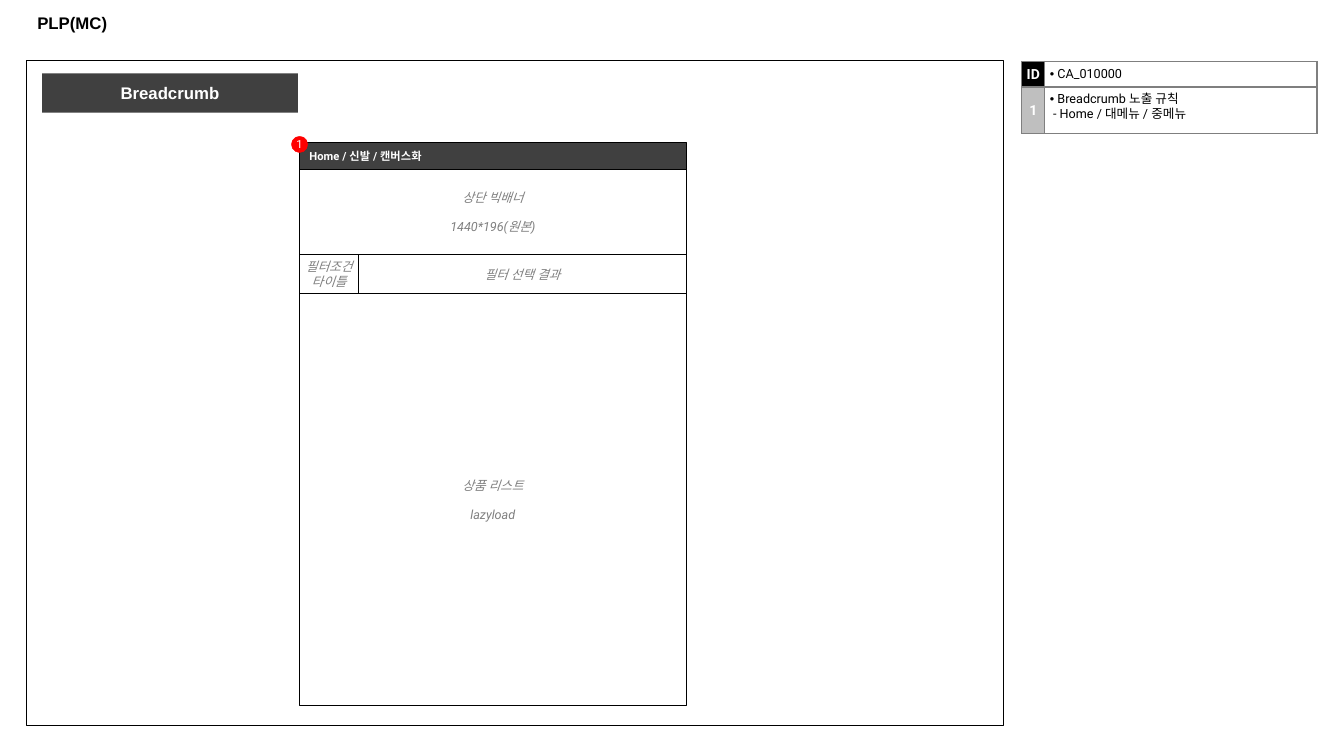
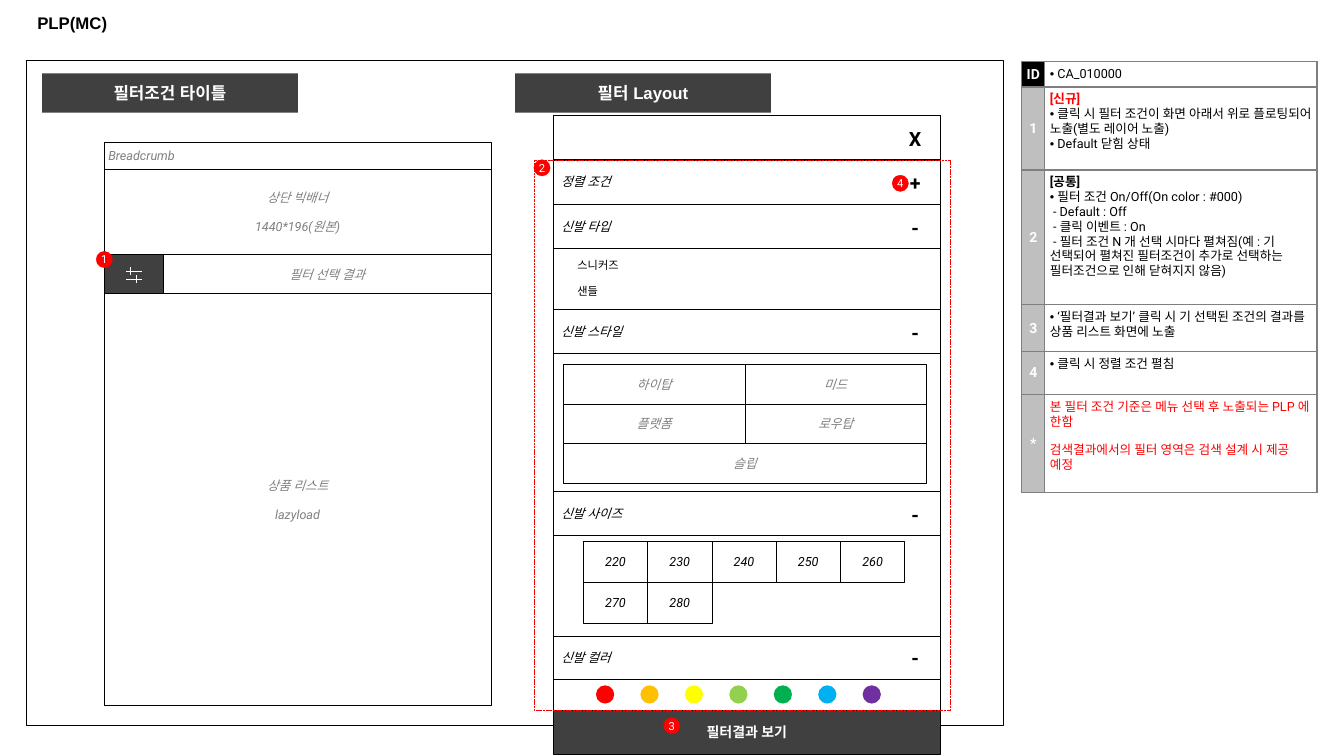
from dataclasses import dataclass, replace

from lxml import etree
from pptx import Presentation
from pptx.dml.color import RGBColor
from pptx.enum import dml, shapes, text
from pptx.oxml import ns
from pptx.util import Cm, Pt

BLACK = RGBColor(0x00, 0x00, 0x00)
WHITE = RGBColor(0xFF, 0xFF, 0xFF)
DARK = RGBColor(0x40, 0x40, 0x40)
GREY = RGBColor(0x80, 0x80, 0x80)
EDGE = RGBColor(0x7F, 0x7F, 0x7F)
PALE = RGBColor(0xBF, 0xBF, 0xBF)
RED = RGBColor(0xFF, 0x00, 0x00)
HUES = (RED, RGBColor(0xFF, 0xC0, 0x00), RGBColor(0xFF, 0xFF, 0x00),
        RGBColor(0x92, 0xD0, 0x50), RGBColor(0x00, 0xB0, 0x50),
        RGBColor(0x00, 0xB0, 0xF0), RGBColor(0x70, 0x30, 0xA0))

LEFT, MID = text.PP_ALIGN.LEFT, text.PP_ALIGN.CENTER
RECT, OVAL = shapes.MSO_SHAPE.RECTANGLE, shapes.MSO_SHAPE.OVAL
WIDE = 9.74   # width of both phone screens
ROW = 1.11    # height of a filter heading


@dataclass(frozen=True)
class Style:
    size: float
    tint: RGBColor = BLACK
    bold: bool = False
    ital: bool = False
    face: str = "Roboto"


@dataclass(frozen=True)
class Line:
    words: str
    dot: bool = False
    lead: float = 0
    gap: bool = False
    style: Style = None


TITLE = Style(12, bold=True, face="Arial")
TAG = replace(TITLE, tint=WHITE)
HINT = Style(9, GREY, ital=True)
HEAD = Style(9, ital=True)
ITEM = Style(8)
MARK = Style(14, bold=True)
CRUMB = Style(8, WHITE, bold=True)
KEY = Style(10, WHITE, bold=True)
DISC = Style(8, WHITE)
NOTE = Style(9)
WARN = Style(9, RED)


def sub(node, tag, **attrs):
    return etree.SubElement(node, ns.qn(tag), attrs)


# Text
def write(frame, lines, style, align=MID, pad=(0.1, 0.1, 0.1, 0.1),
          anchor=text.MSO_ANCHOR.MIDDLE):
    frame.word_wrap = True
    frame.vertical_anchor = anchor
    (frame.margin_left, frame.margin_top,
     frame.margin_right, frame.margin_bottom) = map(Cm, pad)
    put(frame, lines, style, align)


def put(frame, lines, style, align):
    for i, line in enumerate(lines):
        if isinstance(line, str):
            line = Line(line)
        look = line.style or style
        para = frame.paragraphs[0] if i == 0 else frame.add_paragraph()
        para.alignment = align
        prop = para._p.get_or_add_pPr()
        prop.set("marL", "0")
        prop.set("indent", str(Cm(line.lead)))
        if line.dot:
            sub(prop, "a:buFont", typeface="Arial")
            sub(prop, "a:buChar", char="•")
        if line.gap:
            para.space_before = Pt(look.size * 1.1)
        run = para.add_run()
        run.text = (" " if line.dot else "") + line.words
        font = run.font
        font.size, font.bold, font.italic = Pt(look.size), look.bold, look.ital
        font.name = look.face
        font.color.rgb = look.tint
        mark = run._r.get_or_add_rPr()
        mark.set("lang", "ko-KR")
        sub(mark, "a:ea", typeface=look.face)


def label(slide, x, y, w, h, lines, style, **kind):
    frame = slide.shapes.add_textbox(Cm(x), Cm(y), Cm(w), Cm(h)).text_frame
    write(frame, lines, style, **kind)


# Shapes
def box(slide, x, y, w, h, lines=(), style=HINT, fill=None, edge=BLACK,
        thick=0.25, form=RECT, **kind):
    shape = slide.shapes.add_shape(form, Cm(x), Cm(y), Cm(w), Cm(h))
    shape.shadow.inherit = False
    if fill is None:
        shape.fill.background()
    else:
        shape.fill.solid()
        shape.fill.fore_color.rgb = fill
    if edge is None:
        shape.line.fill.background()
    else:
        shape.line.color.rgb = edge
        shape.line.width = Pt(thick)
    if lines:
        write(shape.text_frame, lines, style, **kind)
    return shape


def badge(slide, x, y, num):
    size = 0.41
    box(slide, x - size / 2, y - size / 2, size, size, [num], DISC,
        RED, RED, form=OVAL, pad=(0, 0, 0, 0))


def stroke(slide, x1, y1, x2, y2):
    line = slide.shapes.add_connector(
        shapes.MSO_CONNECTOR.STRAIGHT, Cm(x1), Cm(y1), Cm(x2), Cm(y2))
    line.line.color.rgb = WHITE
    line.line.width = Pt(0.75)
    sub(line._element.spPr, "a:effectLst")


def tag(slide, x, words):
    box(slide, x, 1.85, 6.45, 0.99, [words], TAG, DARK, None)


# Page title and outer frame
def page(deck):
    slide = deck.slides.add_slide(deck.slide_layouts[6])
    box(slide, 0.68, 1.53, 24.61, 16.76, thick=0.75)
    label(slide, 0.69, 0.18, 32.49, 0.99, ["PLP(MC)"], TITLE, align=LEFT,
          pad=(0.25, 0.13, 0.25, 0.13), anchor=text.MSO_ANCHOR.TOP)
    return slide


# Description table
def edges(cell):
    prop = cell._tc.get_or_add_tcPr()
    for side in "LRTB":
        line = sub(prop, f"a:ln{side}", w=str(Pt(1)))
        sub(sub(line, "a:solidFill"), "a:srgbClr", val=str(EDGE))


def notes(slide, x, y, rows):
    rows = [("ID", 0.63, [Line("CA_010000", dot=True)])] + rows
    high = sum(row[1] for row in rows)
    grid = slide.shapes.add_table(
        len(rows), 2, Cm(x), Cm(y), Cm(7.44), Cm(high)).table
    grid.first_row = grid.horz_banding = False
    grid.columns[0].width, grid.columns[1].width = Cm(0.58), Cm(6.86)
    for i, (key, tall, lines) in enumerate(rows):
        grid.rows[i].height = Cm(tall)
        left, right = grid.cell(i, 0), grid.cell(i, 1)
        for cell in (left, right):
            edges(cell)
        left.fill.solid()
        left.fill.fore_color.rgb = BLACK if i == 0 else PALE
        right.fill.background()
        cells = ((left, 0, text.MSO_ANCHOR.MIDDLE, [key], KEY, MID),
                 (right, 0.13, text.MSO_ANCHOR.TOP, lines, NOTE, LEFT))
        for cell, pad, anchor, words, style, align in cells:
            cell.vertical_anchor = anchor
            cell.margin_left = cell.margin_right = Cm(pad)
            cell.margin_top = cell.margin_bottom = Cm(pad)
            put(cell.text_frame, words, style, align)


# Product list screen
def phone(slide, x, y, live):
    top, bar, end, side = y + 0.68, y + 2.82, y + 3.81, 1.49
    if live:
        box(slide, x, y, WIDE, 0.68, ["Home / 신발 / 캔버스화"], CRUMB, DARK,
            align=LEFT, pad=(0.25, 0, 0.1, 0))
    else:
        box(slide, x, y, WIDE, 0.68, ["Breadcrumb"], align=LEFT)
    box(slide, x, top, WIDE, bar - top,
        ["상단 빅배너", Line("1440*196(원본)", gap=True)])
    box(slide, x + side, bar, WIDE - side, end - bar, ["필터 선택 결과"])
    if live:
        box(slide, x, bar, side, end - bar, ["필터조건 타이틀"])
    else:
        box(slide, x, bar, side, end - bar, fill=DARK)
        icon(slide, x + 0.55, bar + 0.32)
    box(slide, x, end, WIDE, 10.38,
        ["상품 리스트", Line("lazyload", gap=True)])
    badge(slide, x, y + 0.05 if live else bar + 0.13, "1")


def icon(slide, x, y):
    for x1, y1, x2, y2 in ((0, 0.1, 0.4, 0.1), (0.12, 0, 0.12, 0.2),
                           (0, 0.31, 0.4, 0.31), (0.27, 0.2, 0.27, 0.41)):
        stroke(slide, x + x1, y + y1, x + x2, y + y2)


# Filter layer
def panel(slide, x, y):
    box(slide, x, y, WIDE, 14.2)
    # Headings with their open or close marks
    for top, tall, name, mark in (
            (0, ROW, "", "X"), (1.12, ROW, "정렬 조건", "+"),
            (2.23, ROW, "신발 타입", "-"), (4.89, ROW, "신발 스타일", "-"),
            (9.47, ROW, "신발 사이즈", "-"), (13.13, 1.07, "신발 컬러", "-")):
        box(slide, x, y + top, WIDE, tall, [name] if name else (), HEAD,
            align=LEFT, pad=(0.19, 0.1, 0.1, 0.1))
        label(slide, x + 8.66, y + top + tall - 1.02, 0.91, 0.99, [mark],
              MARK, pad=(0, 0, 0, 0))
    # Types
    label(slide, x + 0.27, y + 3.47, 9.2, 1.47,
          ["스니커즈", Line("샌들", gap=True)], ITEM, align=LEFT,
          pad=(0.33, 0.13, 0.25, 0.13), anchor=text.MSO_ANCHOR.TOP)
    # Styles
    for r, names in enumerate((("하이탑", "미드"), ("플랫폼", "로우탑"),
                               ("슬립",))):
        wide = 9.14 / len(names)
        for c, name in enumerate(names):
            box(slide, x + 0.25 + c * wide, y + 6.27 + r, wide, 1, [name],
                fill=WHITE)
    # Sizes, five to a row
    for i in range(7):
        r, c = divmod(i, 5)
        box(slide, x + 0.75 + c * 1.62, y + 10.73 + r * 1.03, 1.62, 1.03,
            [str(220 + 10 * i)], HEAD)
    # Colours
    for i, hue in enumerate(HUES):
        box(slide, x + 1.07 + i * 1.12, y + 14.36, 0.46, 0.46, fill=hue,
            edge=None, form=OVAL)
    box(slide, x, y + 14.2, WIDE, 1.07)
    # Result button, scope outline and badges
    box(slide, x, y + 14.99, WIDE, ROW, ["필터결과 보기"], KEY, DARK)
    scope = box(slide, x - 0.48, y + 1.12, 10.48, 13.87, edge=RED)
    scope.line.dash_style = dml.MSO_LINE.SQUARE_DOT
    for dx, dy, num in ((-0.29, 1.32, "2"), (2.98, 15.38, "3"),
                        (8.74, 1.71, "4")):
        badge(slide, x + dx, y + dy, num)


def crumbs(deck):
    slide = page(deck)
    tag(slide, 1.06, "Breadcrumb")
    phone(slide, 7.55, 3.59, True)
    notes(slide, 25.75, 1.55, [
        ("1", 1.18, [Line("Breadcrumb 노출 규칙", dot=True),
                     Line("- Home / 대메뉴 / 중메뉴", lead=0.08)])])


def filters(deck):
    slide = page(deck)
    tag(slide, 1.06, "필터조건 타이틀")
    tag(slide, 12.98, "필터 Layout")
    phone(slide, 2.63, 3.59, False)
    panel(slide, 13.95, 2.91)
    notes(slide, 25.75, 1.55, [
        ("1", 2.09, [
            Line("[신규]", style=replace(WARN, bold=True)),
            Line("클릭 시 필터 조건이 화면 아래서 위로 "
                 "플로팅되어 노출(별도 레이어 노출)", dot=True),
            Line("Default 닫힘 상태", dot=True)]),
        ("2", 3.4, [
            Line("[공통]", style=replace(NOTE, bold=True)),
            Line("필터 조건 On/Off(On color : #000)", dot=True),
            Line("- Default : Off", lead=0.08),
            Line("- 클릭 이벤트 : On", lead=0.08),
            Line("- 필터 조건 N 개 선택 시마다 펼쳐짐(예 : 기 "
                 "선택되어 펼쳐진 필터조건이 추가로 선택하는 "
                 "필터조건으로 인해 닫혀지지 않음)", lead=0.08)]),
        ("3", 1.18, [Line("‘필터결과 보기’ 클릭 시 기 선택된 조건의 "
                          "결과를 상품 리스트 화면에 노출", dot=True)]),
        ("4", 1.08, [Line("클릭 시 정렬 조건 펼침", dot=True)]),
        ("*", 2.47, [
            Line("본 필터 조건 기준은 메뉴 선택 후 노출되는 PLP 에 한함",
                 style=WARN),
            Line("검색결과에서의 필터 영역은 검색 설계 시 제공 예정",
                 gap=True, style=WARN)])])


def main():
    deck = Presentation()
    deck.slide_width, deck.slide_height = Cm(33.87), Cm(19.05)
    crumbs(deck)
    filters(deck)
    deck.save("out.pptx")


if __name__ == "__main__":
    main()
